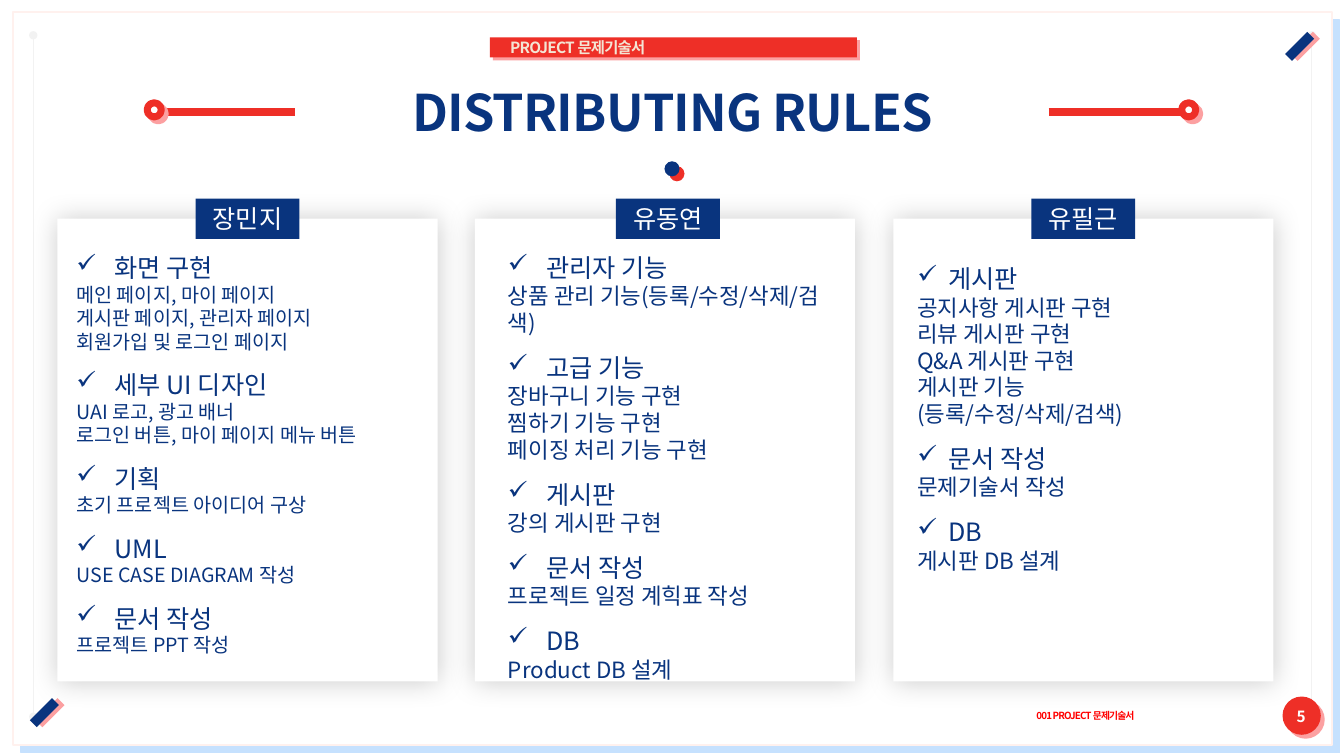
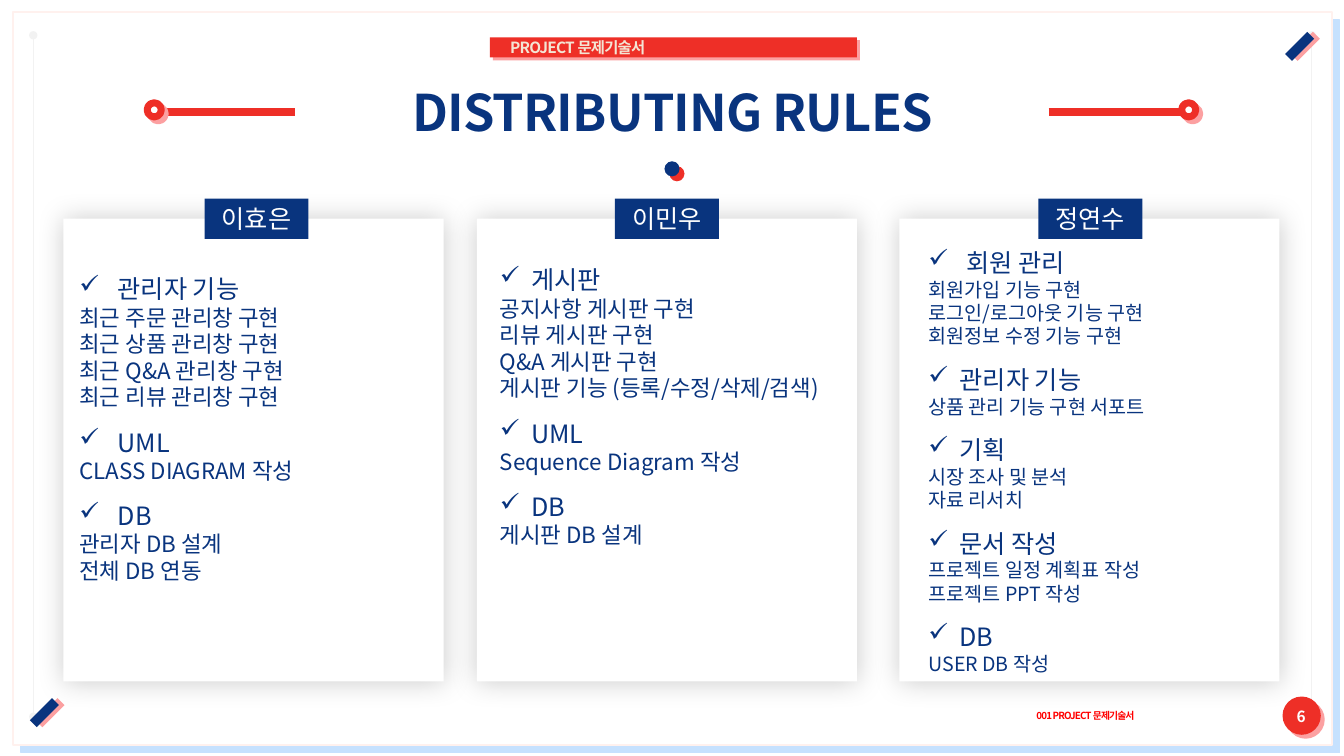
from dataclasses import dataclass

from lxml import etree
from pptx import Presentation
from pptx.dml.color import RGBColor
from pptx.enum.shapes import MSO_CONNECTOR, MSO_SHAPE as SHAPE
from pptx.enum.text import MSO_ANCHOR as ANCHOR, PP_ALIGN as ALIGN
from pptx.oxml.ns import qn
from pptx.util import Emu, Pt

FONT = "Noto Sans CJK KR"
NAVY = RGBColor(0x09, 0x34, 0x7E)
RED = RGBColor(0xEE, 0x2F, 0x27)
FOOTER_RED = RGBColor(0xFF, 0x00, 0x00)
PINK = RGBColor(0xFC, 0xA0, 0xA1)
SKY = RGBColor(0xC6, 0xE1, 0xFE)
BLUSH = RGBColor(0xFF, 0xF1, 0xEE)
CREAM = RGBColor(0xF4, 0xE5, 0xD4)
PALE_GRAY = RGBColor(0xF2, 0xF2, 0xF2)
WHITE = RGBColor(0xFF, 0xFF, 0xFF)
BLACK = RGBColor(0x00, 0x00, 0x00)

EMU_PER_PX = 9144  # 100 px to the inch
SLIDE_W, SLIDE_H = 1333, 750
CARD_TOP, CARD_W, CARD_H = 217, 377, 459
BADGE_TOP, BADGE_W, BADGE_H = 197, 103, 40
HEADING_SIZE = 18
LEADING = 1.19
GROUP_GAP = 12
FIRST_PAGE = 5


@dataclass
class Member:
    name: str
    card_left: int
    badge_left: int
    tasks_box: tuple
    body_size: int
    indent: int
    tasks: list
    first_indent: int = 0


TEAMS = [
    [
        Member("장민지", 57, 194, (66, 246, 363, 414), 14, 38, [
            ("화면 구현", ["메인 페이지, 마이 페이지", "게시판 페이지, 관리자 페이지",
                       "회원가입 및 로그인 페이지"]),
            ("세부 UI 디자인", ["UAI 로고, 광고 배너", "로그인 버튼, 마이 페이지 메뉴 버튼"]),
            ("기획", ["초기 프로젝트 아이디어 구상"]),
            ("UML", ["USE CASE DIAGRAM 작성"]),
            ("문서 작성", ["프로젝트 PPT 작성"]),
        ]),
        Member("유동연", 471, 611, (494, 246, 350, 448), 16, 38, [
            ("관리자 기능", ["상품 관리 기능(등록/수정/삭제/검색)"]),
            ("고급 기능", ["장바구니 기능 구현", "찜하기 기능 구현", "페이징 처리 기능 구현"]),
            ("게시판", ["강의 게시판 구현"]),
            ("문서 작성", ["프로젝트 일정 계힉표 작성"]),
            ("DB", ["Product DB 설계"]),
        ]),
        Member("유필근", 886, 1023, (900, 257, 363, 330), 16, 31, [
            ("게시판", ["공지사항 게시판 구현", "리뷰 게시판 구현", "Q&A 게시판 구현",
                     "게시판 기능\v(등록/수정/삭제/검색)"]),
            ("문서 작성", ["문제기술서 작성"]),
            ("DB", ["게시판 DB 설계"]),
        ]),
    ],
    [
        Member("이효은", 63, 203, (69, 267, 350, 380), 16, 38, [
            ("관리자 기능", ["최근 주문 관리창 구현", "최근 상품 관리창 구현",
                        "최근 Q&A 관리창 구현", "최근 리뷰 관리창 구현"]),
            ("UML", ["CLASS DIAGRAM 작성"]),
            ("DB", ["관리자 DB 설계", "전체 DB 연동"]),
        ]),
        Member("이민우", 473, 610, (486, 258, 340, 296), 16, 31, [
            ("게시판", ["공지사항 게시판 구현", "리뷰 게시판 구현", "Q&A 게시판 구현",
                     "게시판 기능 (등록/수정/삭제/검색)"]),
            ("UML", ["Sequence Diagram 작성"]),
            ("DB", ["게시판 DB 설계"]),
        ]),
        Member("정연수", 892, 1030, (911, 241, 340, 454), 14, 31, [
            ("회원 관리", ["회원가입 기능 구현", "로그인/로그아웃 기능 구현", "회원정보 수정 기능 구현"]),
            ("관리자 기능", ["상품 관리 기능 구현 서포트"]),
            ("기획", ["시장 조사 및 분석", "자료 리서치"]),
            ("문서 작성", ["프로젝트 일정 계획표 작성", "프로젝트 PPT 작성"]),
            ("DB", ["USER DB 작성"]),
        ], first_indent=38),
    ],
]


def px(length):
    return Emu(length * EMU_PER_PX)


def cast_shadow(element, color, distance, angle=0, blur=0, alpha=100):
    """Add an outer shadow to an existing effect list; lengths in points."""
    effects = element._element.spPr.find(qn("a:effectLst"))
    shadow = etree.SubElement(
        effects, qn("a:outerShdw"), blurRad=str(Pt(blur)), dist=str(Pt(distance)),
        dir=str(angle * 60000), algn="ctr", rotWithShape="0")
    tint = etree.SubElement(shadow, qn("a:srgbClr"), val=str(color))
    etree.SubElement(tint, qn("a:alpha"), val=str(alpha * 1000))


def add_block(slide, kind, box, fill, line=None, line_width=1, shadow=None):
    block = slide.shapes.add_shape(kind, *map(px, box))
    block.fill.solid()
    block.fill.fore_color.rgb = fill
    if line is None:
        block.line.fill.background()
    else:
        block.line.color.rgb = line
        block.line.width = Pt(line_width)
    block.shadow.inherit = False
    if shadow:
        cast_shadow(block, **shadow)
    return block


def add_stroke(slide, start, end, color, width, shadow=None, dots=False):
    stroke = slide.shapes.add_connector(
        MSO_CONNECTOR.STRAIGHT, *map(px, (*start, *end)))
    stroke.line.color.rgb = color
    stroke.line.width = Pt(width)
    if dots:
        for tag in ("a:headEnd", "a:tailEnd"):
            etree.SubElement(stroke.line._get_or_add_ln(), qn(tag), type="oval")
    etree.SubElement(stroke._element.spPr, qn("a:effectLst"))
    if shadow:
        cast_shadow(stroke, **shadow)


def set_frame(shape, anchor=ANCHOR.MIDDLE, margins=(0, 0)):
    frame = shape.text_frame
    frame.word_wrap = True
    frame.vertical_anchor = anchor
    frame.margin_left = frame.margin_right = px(margins[0])
    frame.margin_top = frame.margin_bottom = px(margins[1])
    return frame


def add_frame(slide, box, **layout):
    return set_frame(slide.shapes.add_textbox(*map(px, box)), **layout)


def write(frame, text, size, color, bold=False, align=ALIGN.LEFT, spacing=None,
          leading=None, before=0, check_indent=0):
    first = frame.paragraphs[0]
    paragraph = frame.add_paragraph() if first.runs else first
    paragraph.text = text
    paragraph.alignment = align
    paragraph.space_before = Pt(before)
    if leading:
        paragraph.line_spacing = Pt(round(size * leading, 1))
    if check_indent:
        props = paragraph._p.get_or_add_pPr()
        props.set("marL", str(px(check_indent)))
        props.set("indent", str(-px(check_indent)))
        etree.SubElement(props, qn("a:buChar"), char="✓")
    for run in paragraph.runs:
        font = run.font
        font.name, font.size, font.bold = FONT, Pt(size), bold
        font.color.rgb = color
        props = run._r.get_or_add_rPr()
        etree.SubElement(props, qn("a:ea"), typeface=FONT)
        if spacing is not None:
            props.set("spc", str(round(spacing * 100)))


def add_page_frame(slide, page):
    add_block(slide, SHAPE.RECTANGLE, (13, 12, 1308, 727), WHITE, line=BLUSH,
              shadow=dict(color=SKY, distance=8, angle=45))
    for x in (33, 1301):
        add_stroke(slide, (x, 35), (x, 711), PALE_GRAY, 1, dots=True)
    # Corner slashes
    for x, y in ((1278, 35), (33, 696)):
        add_stroke(slide, (x + 22, y), (x, y + 22), NAVY, 7,
                   shadow=dict(color=PINK, distance=4))
    # Footer and page number
    add_block(slide, SHAPE.OVAL, (1272, 691, 38, 38), RED,
              shadow=dict(color=PINK, distance=4, angle=45))
    write(add_frame(slide, (1028, 694, 235, 32)), "001 PROJECT 문제기술서", 7,
          FOOTER_RED, bold=True, spacing=-0.6)
    write(add_frame(slide, (1259, 700, 63, 22)), str(page), 11, WHITE,
          bold=True, align=ALIGN.CENTER, spacing=-0.6)


def add_header(slide):
    banner = add_block(slide, SHAPE.RECTANGLE, (486, 37, 364, 20), RED,
                       shadow=dict(color=PINK, distance=3, angle=45))
    write(set_frame(banner, margins=(20, 0)), "PROJECT 문제기술서", 11, CREAM,
          bold=True, spacing=-0.6)
    write(add_frame(slide, (170, 79, 994, 62)), "DISTRIBUTING RULES", 36, NAVY,
          bold=True, align=ALIGN.CENTER, spacing=-0.6)
    # Bars ending in rings on both sides of the title
    for bar_left, ring_left in ((153, 146), (1040, 1172)):
        add_stroke(slide, (bar_left, 111), (bar_left + 140, 111), RED, 5.5)
        add_block(slide, SHAPE.OVAL, (ring_left, 102, 14, 14), WHITE, line=RED,
                  line_width=5, shadow=dict(color=PINK, distance=4, angle=45))
    add_block(slide, SHAPE.OVAL, (659, 160, 15, 15), NAVY,
              shadow=dict(color=RED, distance=5, angle=45))


def add_card(slide, member):
    add_block(slide, SHAPE.RECTANGLE, (member.card_left, CARD_TOP, CARD_W, CARD_H),
              WHITE, shadow=dict(color=BLACK, distance=0, blur=20, alpha=20))
    badge = add_block(slide, SHAPE.RECTANGLE,
                      (member.badge_left, BADGE_TOP, BADGE_W, BADGE_H), NAVY)
    write(set_frame(badge), member.name, HEADING_SIZE, WHITE, align=ALIGN.CENTER)
    # Task groups
    tasks = add_frame(slide, member.tasks_box, anchor=ANCHOR.TOP, margins=(10, 5))
    for index, (heading, details) in enumerate(member.tasks):
        is_first = index == 0
        indent = member.first_indent if is_first else 0
        write(tasks, heading, HEADING_SIZE, NAVY, leading=LEADING,
              before=0 if is_first else GROUP_GAP,
              check_indent=indent or member.indent)
        for detail in details:
            write(tasks, detail, member.body_size, NAVY, leading=LEADING)


def main():
    deck = Presentation()
    deck.slide_width, deck.slide_height = px(SLIDE_W), px(SLIDE_H)
    blank = deck.slide_layouts[6]
    for page, team in enumerate(TEAMS, FIRST_PAGE):
        slide = deck.slides.add_slide(blank)
        add_page_frame(slide, page)
        add_header(slide)
        for member in team:
            add_card(slide, member)
    deck.save("out.pptx")


if __name__ == "__main__":
    main()
